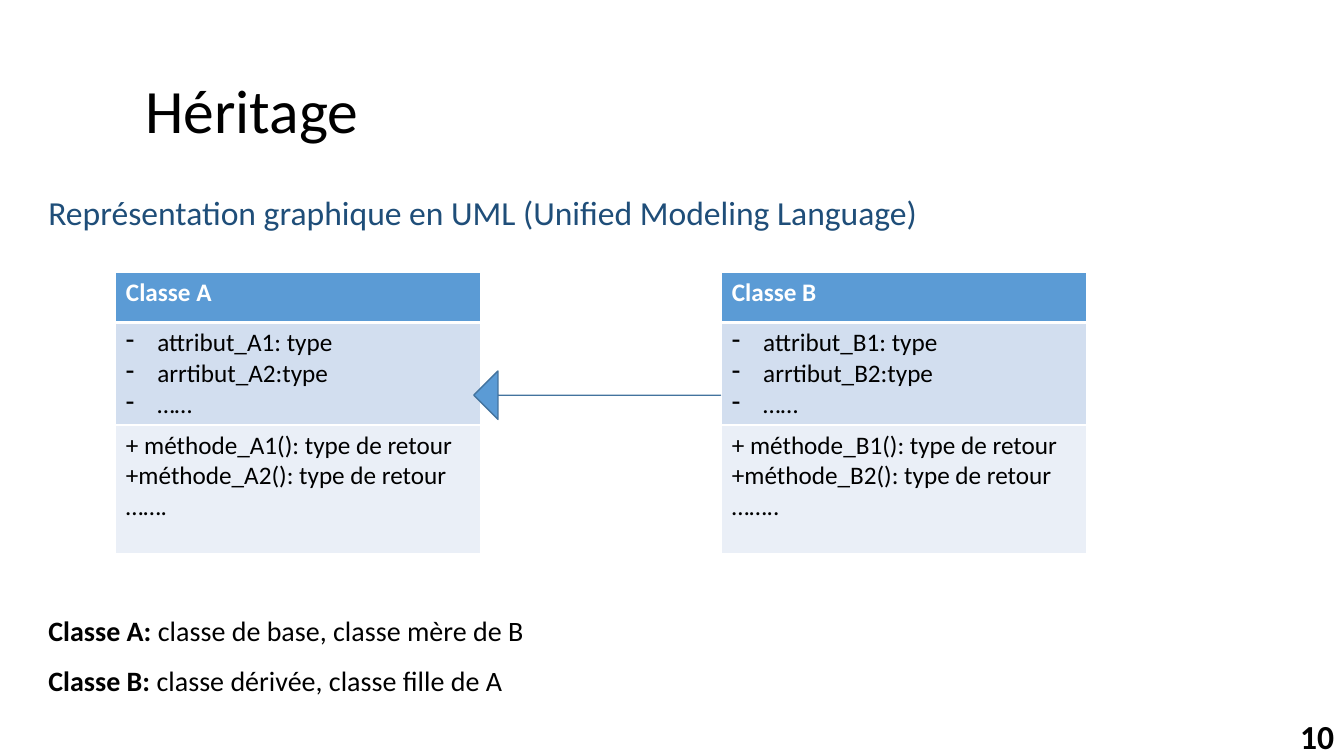
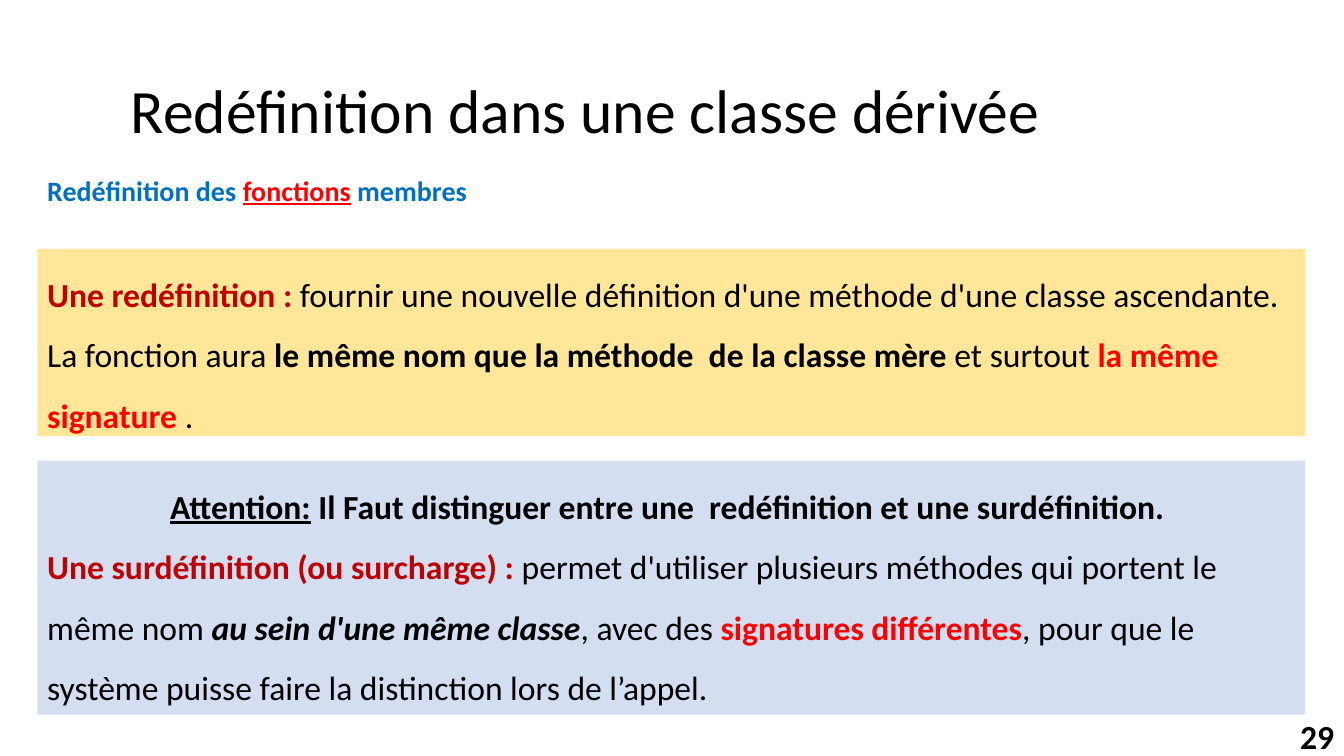
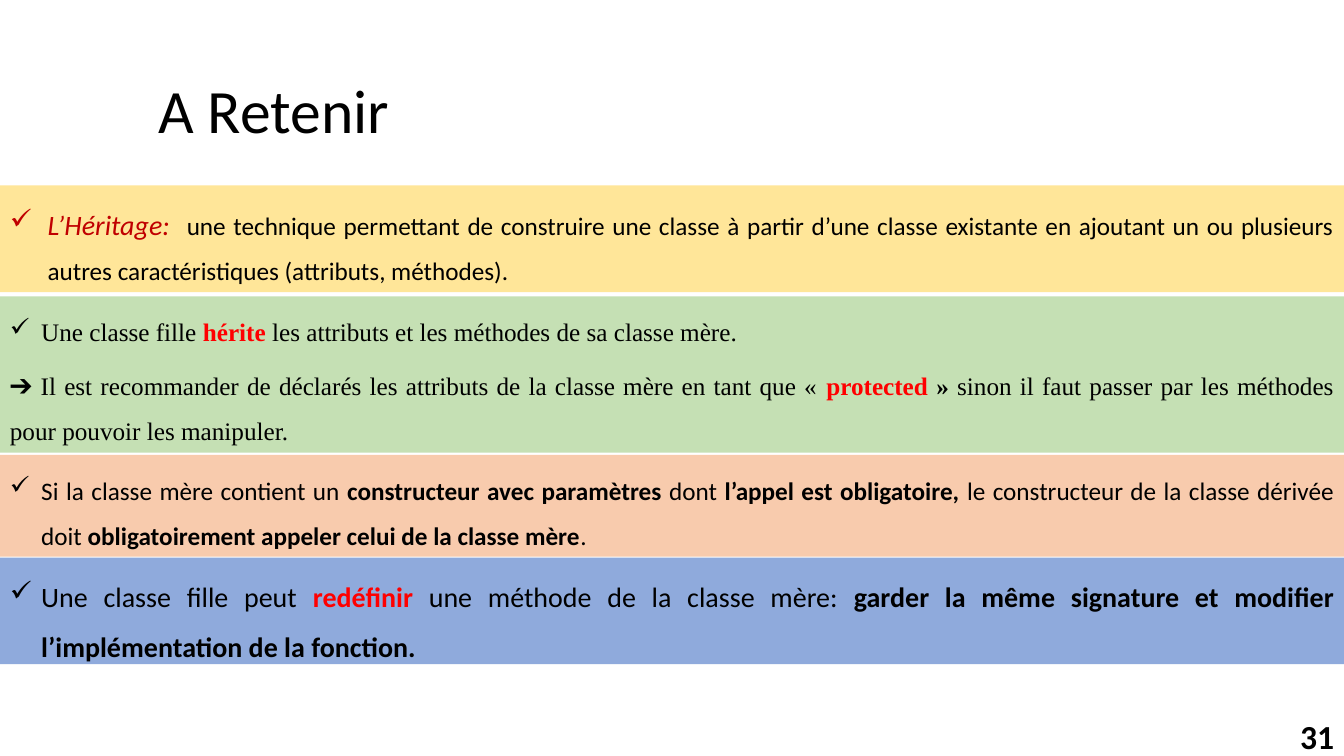
from lxml import etree
from pptx import Presentation
from pptx.dml.color import RGBColor
from pptx.enum.shapes import MSO_SHAPE
from pptx.enum.text import MSO_ANCHOR, PP_ALIGN
from pptx.oxml.ns import qn
from pptx.util import Cm, Pt

RECTANGLE = MSO_SHAPE.RECTANGLE
LEFT_ARROW = MSO_SHAPE.LEFT_ARROW
TOP = MSO_ANCHOR.TOP
MIDDLE = MSO_ANCHOR.MIDDLE
LEFT = PP_ALIGN.LEFT
CENTER = PP_ALIGN.CENTER
RIGHT = PP_ALIGN.RIGHT
JUSTIFY = PP_ALIGN.JUSTIFY

SLIDE_WIDTH, SLIDE_HEIGHT = 33.87, 19.05
TITLE_TOP, TITLE_WIDTH, TITLE_HEIGHT = 1.02, 29.21, 3.68
NUMBER_WIDTH, NUMBER_HEIGHT = 7.62, 1.02

SANS, SERIF = "Calibri", "Times New Roman"
BLACK, WHITE = "000000", "FFFFFF"
RED, DARK_RED = "FF0000", "C00000"
NAVY, BLUE = "1F4E79", "0070C0"
HEADER_BLUE, ARROW_LINE = "5B9BD5", "43739E"
ROW_FILLS = [HEADER_BLUE, "D2DEEF", "EAEFF7"]
YELLOW, GREEN, ORANGE, PERIWINKLE = "FFE699", "C5E0B4", "F8CBAD", "8FAADC"


def run(text, color=BLACK, style="", size=None):
    return {"text": text, "color": color, "style": style, "size": size}


def para(*runs, size=18, font=SANS, align=LEFT, spacing=1, before=0, bullet=None, indent=0):
    return {"runs": runs, "size": size, "font": font, "align": align, "spacing": spacing,
            "before": before, "bullet": bullet, "indent": indent}


def point(*runs, size=18, font=SANS, before=6, bullet="✓", indent=0.79):
    return para(*runs, size=size, font=font, align=JUSTIFY, spacing=1.5,
                before=before, bullet=bullet, indent=indent)


SUBTITLE = [para(run("Représentation graphique en UML (Unified Modeling Language)", NAVY), size=24)]
CLASS_TABLES = [("A", 2.92, "……."), ("B", 18.19, "……..")]
CLASS_TOP, CLASS_WIDTH = 6.86, 9.2
CLASS_ROWS = [1.27, 2.58, 3.25]
ROLES = [
    para(run("Classe A: ", style="b"), run("classe de base, classe mère de B"), size=20, spacing=1.5),
    para(run("Classe B: ", style="b"), run("classe dérivée, classe fille de A"), size=20, spacing=1.5),
]

REDEFINITION_HEADING = [para(
    run("Redéfinition des ", BLUE, "b"), run("fonctions", RED, "bu"), run(" membres", BLUE, "b"),
    size=20)]
REDEFINITION = [
    para(run("Une redéfinition : ", DARK_RED, "b"),
         run("fournir une nouvelle définition d'une méthode d'une classe ascendante."),
         size=24, spacing=1.5),
    para(run("La fonction aura "),
         run("le même nom que la méthode  de la classe mère ", style="b"),
         run("et surtout "), run("la même signature ", RED, "b"), run("."),
         size=24, spacing=1.5),
]
OVERLOADING = [
    para(run("Attention:", style="bu"),
         run(" Il Faut distinguer entre une  redéfinition et une surdéfinition. ", style="b"),
         size=24, spacing=1.5, align=CENTER),
    para(run("Une surdéfinition (ou surcharge) : ", DARK_RED, "b"),
         run("permet d'utiliser plusieurs méthodes qui portent le même nom "),
         run("au sein d'une même classe", style="bi"), run(", avec des "),
         run("signatures différentes", RED, "b"),
         run(", pour que le système puisse faire la distinction lors de l’appel."),
         size=24, spacing=1.5),
]
DEFINITION_PANELS = [
    (6.27, 4.72, YELLOW, None, REDEFINITION),
    (11.61, 6.4, PERIWINKLE, 39, OVERLOADING),
]

SUMMARY_BANDS = [
    (4.67, 2.69, YELLOW, [point(
        run("L’Héritage:  ", DARK_RED, "i", 20),
        run("une technique permettant de construire une classe à partir d’une classe existante "
            "en ajoutant un ou plusieurs autres caractéristiques (attributs, méthodes). "),
        before=0, indent=0.95)]),
    (7.47, 3.94, GREEN, [
        point(run("Une classe fille "), run("hérite", RED, "b"),
              run(" les attributs et les méthodes de sa classe mère. "), font=SERIF),
        point(run("➔ Il est recommander de déclarés les attributs de la classe mère en tant que « "),
              run("protected", RED, "b"), run(" » ", style="b"),
              run("sinon il faut passer par les méthodes pour pouvoir les manipuler."),
              font=SERIF, bullet=None, indent=0)]),
    (11.46, 2.57, ORANGE, [point(
        run("Si la classe mère contient un "), run("constructeur avec paramètres ", style="b"),
        run("dont "), run("l’appel est obligatoire, ", style="b"),
        run("le constructeur de la classe dérivée doit "),
        run("obligatoirement appeler celui de la classe mère", style="b"), run("."))]),
    (14.05, 2.69, PERIWINKLE, [point(
        run("Une classe fille peut "), run("redéfinir", RED, "b"),
        run(" une méthode de la classe mère: "),
        run("garder la même signature et modifier l’implémentation de la fonction.", style="b"),
        size=20)]),
]


def rgb(color):
    return RGBColor.from_string(color)


def set_bullet(paragraph, character, indent):
    properties = paragraph._p.get_or_add_pPr()
    properties.set("marL", str(Cm(indent)))
    properties.set("indent", str(-Cm(indent)))
    etree.SubElement(properties, qn("a:buChar")).set("char", character)


def write(text_frame, paragraphs):
    for index, content in enumerate(paragraphs):
        paragraph = text_frame.paragraphs[0] if index == 0 else text_frame.add_paragraph()
        paragraph.alignment = content["align"]
        paragraph.line_spacing = content["spacing"]
        paragraph.space_before = Pt(content["before"])
        if content["bullet"]:
            set_bullet(paragraph, content["bullet"], content["indent"])
        for part in content["runs"]:
            text_run = paragraph.add_run()
            text_run.text = part["text"]
            font = text_run.font
            font.name = content["font"]
            font.size = Pt(part["size"] or content["size"])
            font.color.rgb = rgb(part["color"])
            font.bold = "b" in part["style"]
            font.italic = "i" in part["style"]
            font.underline = "u" in part["style"]


def add_text(slide, box, paragraphs, anchor=TOP):
    shape = slide.shapes.add_textbox(*map(Cm, box))
    shape.text_frame.word_wrap = True
    shape.text_frame.vertical_anchor = anchor
    write(shape.text_frame, paragraphs)


def add_panel(slide, box, color, paragraphs, opacity=None):
    shape = slide.shapes.add_shape(RECTANGLE, *map(Cm, box))
    shape.shadow.inherit = False
    shape.line.fill.background()
    shape.fill.solid()
    shape.fill.fore_color.rgb = rgb(color)
    if opacity:
        color_element = shape.fill._xPr.find(".//" + qn("a:srgbClr"))
        etree.SubElement(color_element, qn("a:alpha")).set("val", str(opacity * 1000))
    shape.text_frame.word_wrap = True
    shape.text_frame.vertical_anchor = TOP
    write(shape.text_frame, paragraphs)


def set_borders(cell, widths):
    properties = cell._tc.get_or_add_tcPr()
    for side, width in widths.items():
        line = etree.SubElement(properties, qn("a:ln" + side))
        line.set("w", str(Pt(width)))
        fill = etree.SubElement(line, qn("a:solidFill"))
        etree.SubElement(fill, qn("a:srgbClr")).set("val", WHITE)


def add_class_table(slide, letter, left, ending):
    contents = [
        [para(run(f"Classe {letter}", WHITE, "b"))],
        [para(run(text), bullet="-", indent=0.79)
         for text in (f"attribut_{letter}1: type", f"arrtibut_{letter}2:type", "……")],
        [para(run(text))
         for text in (f"+ méthode_{letter}1(): type de retour",
                      f"+méthode_{letter}2(): type de retour", ending)],
    ]
    frame = slide.shapes.add_table(len(contents), 1, Cm(left), Cm(CLASS_TOP),
                                   Cm(CLASS_WIDTH), Cm(sum(CLASS_ROWS)))
    table = frame.table
    table.horz_banding = False
    for index, paragraphs in enumerate(contents):
        table.rows[index].height = Cm(CLASS_ROWS[index])
        cell = table.cell(index, 0)
        set_borders(cell, {"L": 1, "R": 1, "T": 3 if index == 1 else 1, "B": 3 if index == 0 else 1})
        cell.fill.solid()
        cell.fill.fore_color.rgb = rgb(ROW_FILLS[index])
        write(cell.text_frame, paragraphs)


def add_inheritance_arrow(slide):
    arrow = slide.shapes.add_shape(LEFT_ARROW, Cm(11.94), Cm(9.35), Cm(6.22), Cm(1.22))
    arrow.adjustments[0] = 0
    arrow.adjustments[1] = 0.5
    arrow.shadow.inherit = False
    arrow.fill.solid()
    arrow.fill.fore_color.rgb = rgb(HEADER_BLUE)
    arrow.line.color.rgb = rgb(ARROW_LINE)
    arrow.line.width = Pt(1)


def add_slide(presentation, title, title_left, number):
    slide = presentation.slides.add_slide(presentation.slide_layouts[6])
    add_text(slide, (title_left, TITLE_TOP, TITLE_WIDTH, TITLE_HEIGHT),
             [para(run(title), size=44, spacing=0.9)], MIDDLE)
    add_text(slide, (SLIDE_WIDTH - NUMBER_WIDTH, SLIDE_HEIGHT - NUMBER_HEIGHT,
                     NUMBER_WIDTH, NUMBER_HEIGHT),
             [para(run(str(number), style="b"), size=24, align=RIGHT)], MIDDLE)
    return slide


def main():
    presentation = Presentation()
    presentation.slide_width = Cm(SLIDE_WIDTH)
    presentation.slide_height = Cm(SLIDE_HEIGHT)

    slide = add_slide(presentation, "Héritage", 3.41, 10)
    add_text(slide, (0.97, 4.7, 31.88, 2.06), SUBTITLE)
    for letter, left, ending in CLASS_TABLES:
        add_class_table(slide, letter, left, ending)
    add_inheritance_arrow(slide)
    add_text(slide, (0.97, 14.91, 31.88, 2.69), ROLES)

    slide = add_slide(presentation, "Redéfinition dans une classe dérivée", 3.05, 29)
    add_text(slide, (0.94, 4.24, 31.95, 1.88), REDEFINITION_HEADING)
    for top, height, color, opacity, paragraphs in DEFINITION_PANELS:
        add_panel(slide, (0.94, top, 31.95, height), color, paragraphs, opacity)

    slide = add_slide(presentation, "A Retenir", 3.74, 31)
    for top, height, color, paragraphs in SUMMARY_BANDS:
        add_panel(slide, (0, top, SLIDE_WIDTH, height), color, paragraphs)

    presentation.save("out.pptx")


if __name__ == "__main__":
    main()
